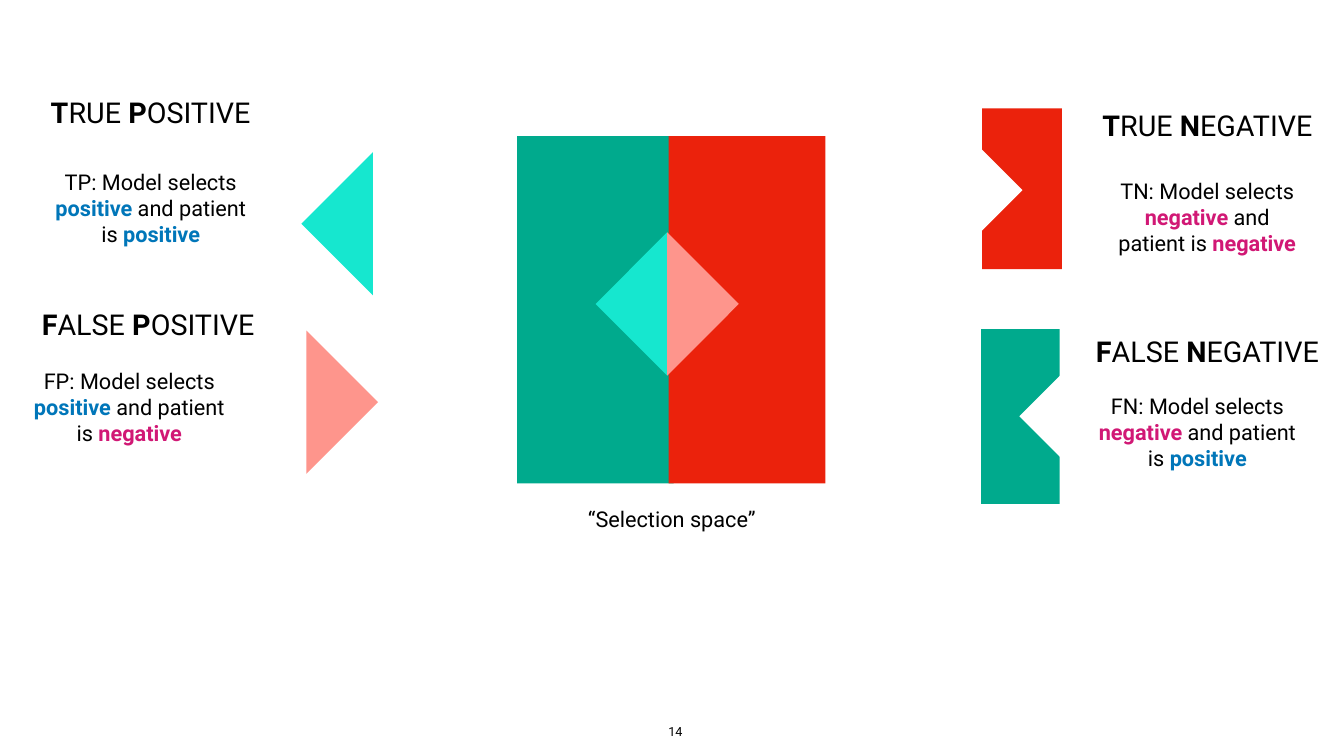
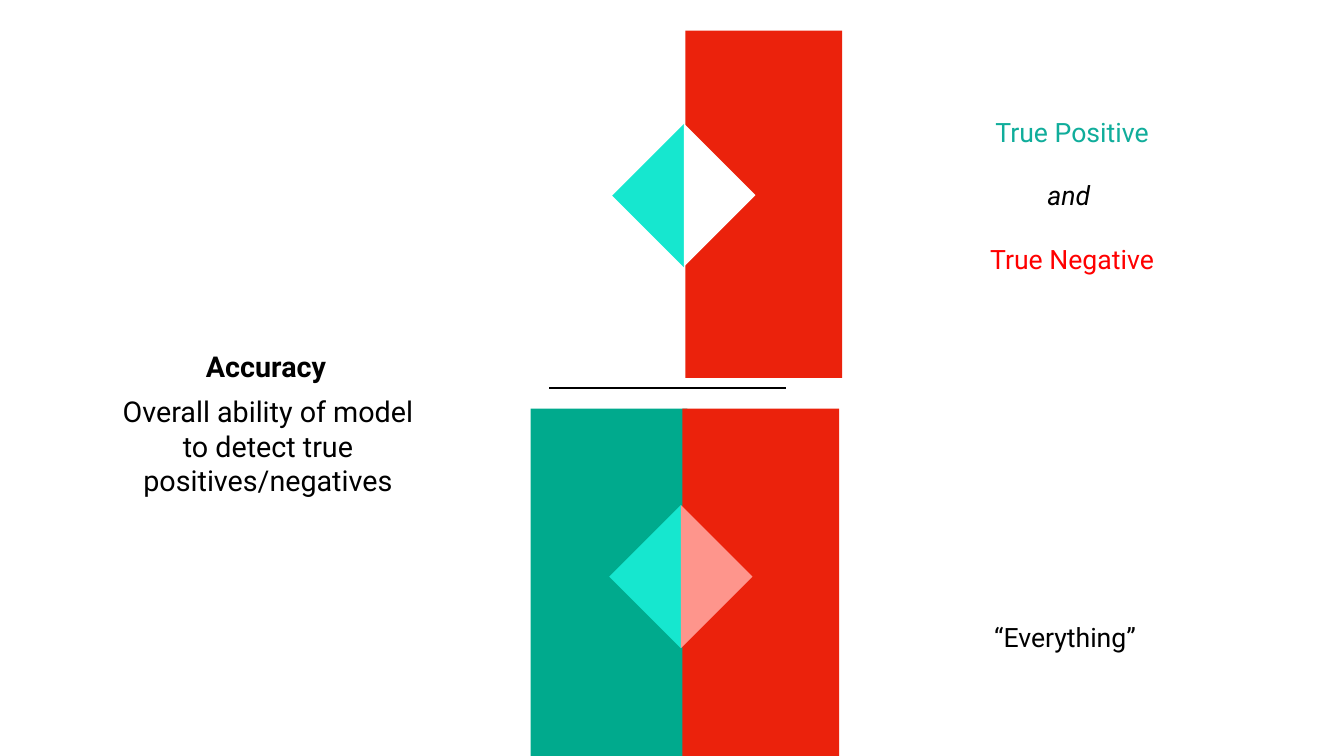
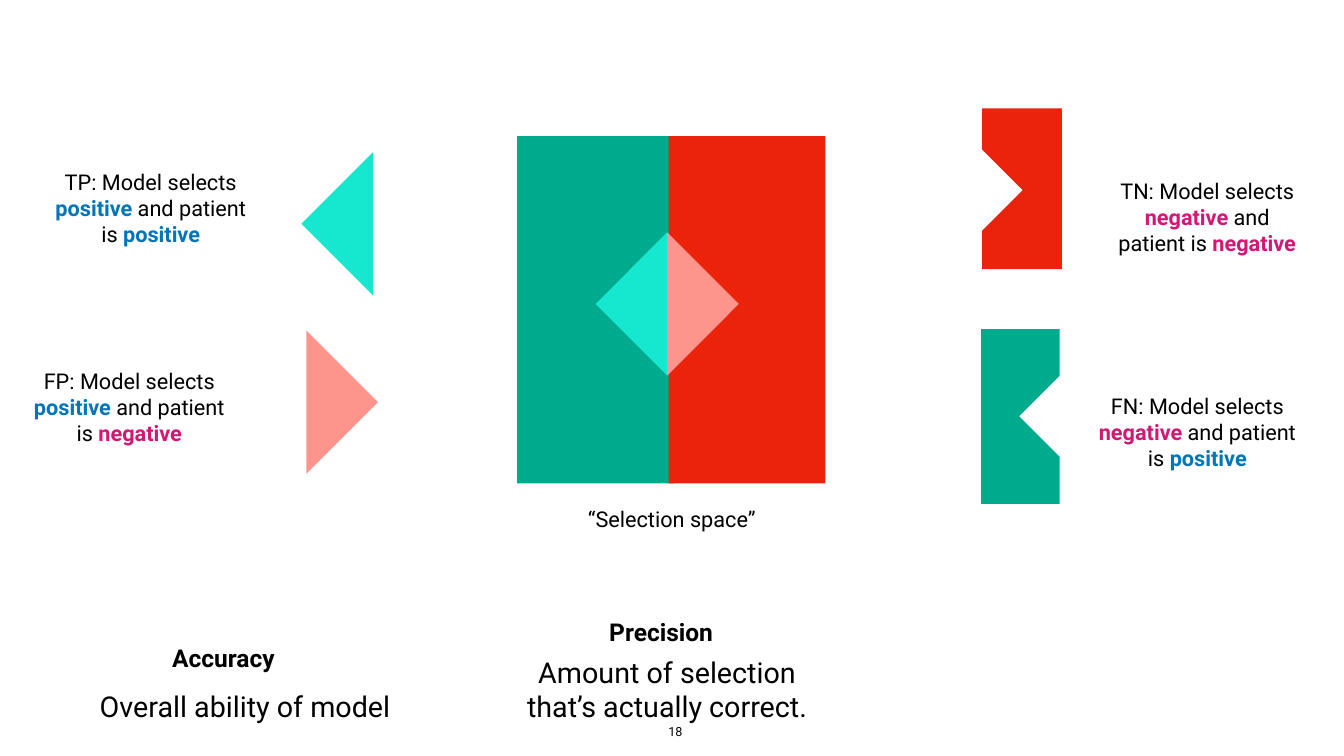
from pptx import Presentation
from pptx.dml.color import RGBColor
from pptx.enum.shapes import MSO_CONNECTOR, MSO_SHAPE
from pptx.enum.text import MSO_ANCHOR, MSO_AUTO_SIZE, PP_ALIGN
from pptx.oxml.ns import qn
from pptx.util import Pt
from lxml import etree

PX = 9144  # EMU per px, 100 px to the inch
SLIDE_SIZE = (2667, 1500)
FONT = "Roboto"
INSET = 6

BLACK, WHITE = "000000", "FFFFFF"
GREEN, RED = "00AA8D", "EB220C"
TEAL, PINK = "16E7CF", "FE958C"
BLUE, MAGENTA = "0076B9", "D11875"

# Text sizes in points
NUMBER, LABEL, SUBHEAD, RATIO, HEADING = 18, 31, 35, 38, 41

# Side lengths of the squares whose halves make the triangles
HALF_DIAMOND, NOTCH = 201, 116

# Outcome: (model's answer, patient's state, text box)
OUTCOMES = {
    "TP": ("positive", "positive", (97, 328, 404, 168)),
    "FN": ("negative", "positive", (2174, 772, 404, 168)),
    "FP": ("positive", "negative", (61, 724, 391, 168)),
    "TN": ("negative", "negative", (2200, 347, 391, 168)),
}
ANSWER_COLORS = {"positive": BLUE, "negative": MAGENTA}

OUTCOME_HEADINGS = [
    ("TRUE POSITIVE", (-17, 183, 632, 79)),
    ("FALSE NEGATIVE", (2080, 657, 632, 80)),
    ("TRUE NEGATIVE", (2080, 208, 632, 80)),
    ("FALSE POSITIVE", (-22, 602, 632, 80)),
]

# Pieces: (fill, box) for bars; (fill, hypotenuse centre, side, direction) for triangles
OUTCOME_BARS = [
    (GREEN, (1947, 653, 156, 347)),
    (RED, (1949, 215, 158, 319)),
]
OUTCOME_TRIANGLES = [
    (WHITE, (2105, 826), NOTCH, "left"),
    (WHITE, (1947, 377), NOTCH, "right"),
    (PINK, (608, 798), HALF_DIAMOND, "right"),
    (TEAL, (740, 444), HALF_DIAMOND, "left"),
]

BAR_SIZE = (311, 689)
RED_BAR_OFFSET = 301
DIAMOND_OFFSET = (298, 333)

# Summaries: (text, size, bold, box)
ACCURACY_TEXTS = [
    (["Accuracy"], HEADING, True, (375, 687, 306, 80)),
    (["Overall ability of model", "to detect true positives/negatives"],
     HEADING, False, (220, 775, 624, 218)),
    (["“Everything”"], RATIO, False, (1949, 1227, 329, 75)),
]
NUMERATOR = [("True Positive", "10AD9B", False), ("and ", BLACK, True),
             ("True Negative", "FF0000", False)]
NUMERATOR_BOX = (1735, 222, 785, 331)
FRACTION_LINE = (1090, 770, 1560, 770)

MEASURE_TEXTS = [
    (["Precision"], SUBHEAD, True, (1185, 1218, 254, 70)),
    (["Amount of selection that’s actually correct."],
     HEADING, False, (1008, 1293, 632, 149)),
    (["Accuracy"], SUBHEAD, True, (312, 1270, 263, 70)),
    (["Overall ability of model"], HEADING, False, (178, 1360, 617, 80)),
]


def emu(*lengths):
    return [length * PX for length in lengths]


def rgb(color):
    return RGBColor.from_string(color)


def paint(shape, color):
    shape.shadow.inherit = False
    shape.fill.solid()
    shape.fill.fore_color.rgb = rgb(color)
    shape.line.fill.background()


def add_text(slide, box, paragraphs, size, gap=0, anchor=MSO_ANCHOR.MIDDLE):
    """Each paragraph is a list of runs: (text, color, bold, italic)."""
    frame = slide.shapes.add_textbox(*emu(*box)).text_frame
    frame.word_wrap = True
    frame.auto_size = MSO_AUTO_SIZE.SHAPE_TO_FIT_TEXT
    frame.vertical_anchor = anchor
    frame.margin_left = frame.margin_right = INSET * PX
    frame.margin_top = frame.margin_bottom = INSET * PX
    for index, runs in enumerate(paragraphs):
        paragraph = frame.add_paragraph() if index else frame.paragraphs[0]
        paragraph.alignment = PP_ALIGN.CENTER
        if index and gap:
            paragraph.space_before = Pt(gap)
        paragraph.font.name = FONT
        paragraph.font.size = Pt(size)
        for text, color, bold, italic in runs:
            run = paragraph.add_run()
            run.text = text
            run.font.color.rgb = rgb(color)
            run.font.bold = bold
            run.font.italic = italic


def add_plain(slide, lines, size, bold, box, anchor=MSO_ANCHOR.MIDDLE):
    paragraphs = [[(line, BLACK, bold, False)] for line in lines]
    add_text(slide, box, paragraphs, size, anchor=anchor)


def add_bar(slide, color, box):
    paint(slide.shapes.add_shape(MSO_SHAPE.RECTANGLE, *emu(*box)), color)


def add_triangle(slide, color, center, side, direction):
    """Half a square, turned so that its right angle points left or right."""
    left, top = (middle * PX - side * PX // 2 for middle in center)
    span = side * PX
    builder = slide.shapes.build_freeform(left, top)
    builder.add_line_segments([(left, top + span), (left + span, top + span)])
    triangle = builder.convert_to_shape()
    triangle.rotation = {"left": 45, "right": 225}[direction]
    paint(triangle, color)


def add_selection_space(slide, left, top):
    center = (left + DIAMOND_OFFSET[0], top + DIAMOND_OFFSET[1])
    add_bar(slide, GREEN, (left, top, *BAR_SIZE))
    add_triangle(slide, TEAL, center, HALF_DIAMOND, "left")
    add_bar(slide, RED, (left + RED_BAR_OFFSET, top, *BAR_SIZE))
    add_triangle(slide, PINK, center, HALF_DIAMOND, "right")


def add_outcomes(slide, number):
    """Page number, four outcomes and the selection space between them."""
    add_plain(slide, [number], NUMBER, False, (1307, 1430, 67, 42), MSO_ANCHOR.BOTTOM)
    for code, (answer, state, box) in OUTCOMES.items():
        add_text(slide, box, [[
            (f"{code}: Model selects ", BLACK, False, False),
            (answer, ANSWER_COLORS[answer], True, False),
            (" and patient is ", BLACK, False, False),
            (state, ANSWER_COLORS[state], True, False),
        ]], LABEL)
    for bar in OUTCOME_BARS:
        add_bar(slide, *bar)
    for triangle in OUTCOME_TRIANGLES:
        add_triangle(slide, *triangle)
    add_selection_space(slide, 1026, 270)
    add_plain(slide, ["“Selection space”"], LABEL, False, (1155, 998, 356, 63))


def add_outcome_heading(slide, heading, box):
    first, second = heading.split()
    add_text(slide, box, [[
        (first[0], BLACK, True, False), (first[1:] + " ", BLACK, False, False),
        (second[0], BLACK, True, False), (second[1:], BLACK, False, False),
    ]], HEADING)


def add_fraction_line(slide):
    line = slide.shapes.add_connector(MSO_CONNECTOR.STRAIGHT, *emu(*FRACTION_LINE))
    line.line.color.rgb = rgb(BLACK)
    line.line.width = Pt(4)
    etree.SubElement(line._element.spPr, qn("a:effectLst"))


def main():
    deck = Presentation()
    deck.slide_width, deck.slide_height = emu(*SLIDE_SIZE)
    blank = deck.slide_layouts[6]
    outcomes, accuracy, measures = (deck.slides.add_slide(blank) for _ in range(3))

    # The four outcomes, with headings
    add_outcomes(outcomes, "14")
    for heading, box in OUTCOME_HEADINGS:
        add_outcome_heading(outcomes, heading, box)

    # Accuracy as a fraction
    for text in ACCURACY_TEXTS:
        add_plain(accuracy, *text)
    add_text(accuracy, NUMERATOR_BOX,
             [[(text, color, False, italic)] for text, color, italic in NUMERATOR],
             RATIO, gap=45)
    add_fraction_line(accuracy)
    add_triangle(accuracy, TEAL, (1357, 388), HALF_DIAMOND, "left")
    add_bar(accuracy, RED, (1360, 61, *BAR_SIZE))
    add_triangle(accuracy, WHITE, (1357, 387), HALF_DIAMOND, "right")
    add_selection_space(accuracy, 1053, 811)

    # The outcomes with the measures drawn from them
    add_outcomes(measures, "18")
    for text in MEASURE_TEXTS:
        add_plain(measures, *text)

    deck.save("out.pptx")


if __name__ == "__main__":
    main()
